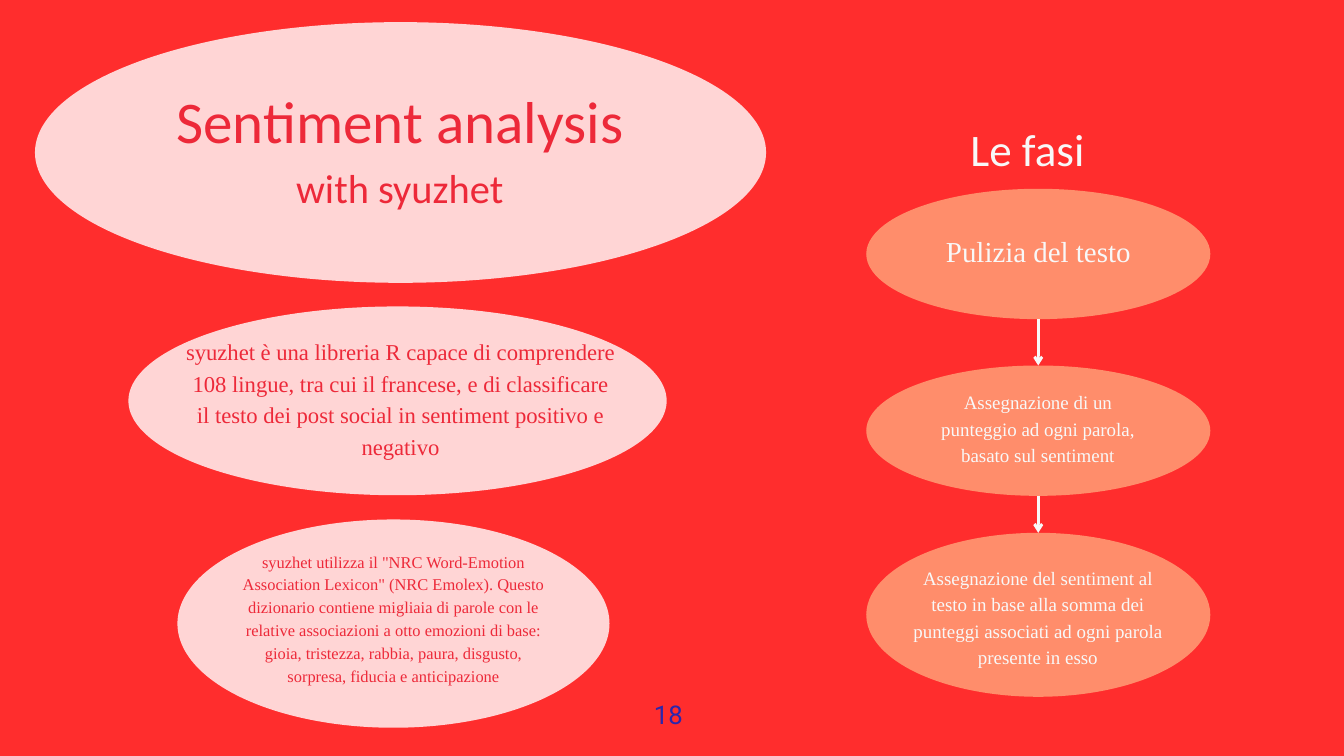
from dataclasses import dataclass

from lxml import etree
from pptx import Presentation
from pptx.dml.color import RGBColor
from pptx.enum.shapes import MSO_CONNECTOR, MSO_SHAPE
from pptx.enum.text import MSO_ANCHOR, MSO_AUTO_SIZE, PP_ALIGN
from pptx.oxml.ns import qn
from pptx.util import Inches, Pt

OVAL = MSO_SHAPE.OVAL
STRAIGHT = MSO_CONNECTOR.STRAIGHT
TOP = MSO_ANCHOR.TOP
CENTER = PP_ALIGN.CENTER
NO_FIT = MSO_AUTO_SIZE.NONE
SERIF = "Times New Roman"
SANS = "Calibri"
COLORS = {
    "background": "FF2D2D",
    "pale": "FFFFFF",
    "step": "FFA57B",
    "red": "ED2939",
    "light": "F8F8F8",
    "number": "2B26AD",
}


@dataclass
class Box:
    left: float
    top: float
    width: float
    height: float

    def share(self, left, top, width, height):
        return Box(
            self.left + self.width * left / 100,
            self.top + self.height * top / 100,
            self.width * width / 100,
            self.height * height / 100,
        )

    def place(self):
        return [Inches(v) for v in (self.left, self.top, self.width, self.height)]


def rgb(name):
    return RGBColor.from_string(COLORS[name])


def write(holder, *lines, font=SERIF, color="light"):
    frame = holder.text_frame
    frame.word_wrap = True
    frame.auto_size = NO_FIT
    frame.vertical_anchor = TOP
    frame.margin_left = frame.margin_right = frame.margin_top = frame.margin_bottom = 0
    for index, (text, size, spacing) in enumerate(lines):
        paragraph = frame.add_paragraph() if index else frame.paragraphs[0]
        paragraph.alignment = CENTER
        paragraph.line_spacing = Pt(spacing)
        run = paragraph.add_run()
        run.text = text
        run.font.size = Pt(size)
        run.font.name = font
        run.font.color.rgb = rgb(color)


def add_text(slide, box, *lines, **style):
    write(slide.shapes.add_textbox(*box.place()), *lines, **style)


def add_oval(slide, box, color):
    oval = slide.shapes.add_shape(OVAL, *box.place())
    oval.shadow.inherit = False
    oval.fill.solid()
    oval.fill.fore_color.rgb = rgb(color)
    oval.line.fill.background()
    tint = oval.fill._xPr.find(qn("a:solidFill"))[0]
    etree.SubElement(tint, qn("a:alpha"), val="80000")


def add_arrow(slide, upper, lower):
    middle = Inches(upper.left + upper.width / 2)
    start, end = Inches(upper.top + upper.height), Inches(lower.top)
    arrow = slide.shapes.add_connector(STRAIGHT, middle, start, middle, end)
    arrow.line.color.rgb = rgb("light")
    arrow.line.width = Pt(3)
    etree.SubElement(arrow.line._get_or_add_ln(), qn("a:tailEnd"), type="arrow")
    etree.SubElement(arrow._element.spPr, qn("a:effectLst"))


def add_title(slide, box):
    add_oval(slide, box, "pale")
    title = slide.shapes.title
    slide.shapes._spTree.append(title._element)
    area = box.share(7.44, 19.33, 84.93, 52.84)
    title.left, title.top, title.width, title.height = area.place()
    write(title, ("Sentiment analysis", 63.3, 88.6), ("with syuzhet", 43.3, 60.6),
          font=SANS, color="red")


def add_introduction(slide, box):
    add_title(slide, box.share(0, 0, 100, 36.95))
    descriptions = [
        ((12.78, 40.29, 73.62, 26.76), (10.36, 14.23, 80.4, 67.97),
         ("syuzhet è una libreria R capace di comprendere 108 lingue, tra cui il "
          "francese, e di classificare il testo dei post social in sentiment "
          "positivo e negativo", 24.3, 34)),
        ((19.49, 70.48, 59.1, 29.52), (15.09, 13.87, 69.83, 77.42),
         ('syuzhet utilizza il "NRC Word-Emotion Association Lexicon" (NRC Emolex). '
          "Questo dizionario contiene migliaia di parole con le relative "
          "associazioni a otto emozioni di base: gioia, tristezza, rabbia, paura, "
          "disgusto, sorpresa, fiducia e anticipazione", 17.6, 24.6)),
    ]
    for oval_share, text_share, line in descriptions:
        oval = box.share(*oval_share)
        add_oval(slide, oval, "pale")
        add_text(slide, oval.share(*text_share), line, color="red")


def add_phases(slide, box):
    add_text(slide, box.share(0, 0, 100, 10.45), ("Le fasi", 48.3, 67.6), font=SANS)
    phases = [
        (13.09, 22.27, (3.13, 29.9, 93.75, 33),
         ("Pulizia del testo", 31, 43.4)),
        (43.28, 22.27, (19.14, 16.49, 61.52, 62.37),
         ("Assegnazione di un punteggio ad ogni parola, basato sul sentiment",
          20.3, 28.5)),
        (71.87, 28.01, (11.91, 18.03, 75.98, 65.57),
         ("Assegnazione del sentiment al testo in base alla somma dei punteggi "
          "associati ad ogni parola presente in esso", 20.3, 28.5)),
    ]
    previous = None
    for top, height, text_share, line in phases:
        oval = box.share(24.03, top, 55.41, height)
        add_oval(slide, oval, "step")
        add_text(slide, oval.share(*text_share), line)
        if previous:
            add_arrow(slide, previous, oval)
        previous = oval


def main():
    page = Box(0, 0, 20, 11.25)
    presentation = Presentation()
    presentation.slide_width = Inches(page.width)
    presentation.slide_height = Inches(page.height)
    slide = presentation.slides.add_slide(presentation.slide_layouts[5])
    slide.background.fill.solid()
    slide.background.fill.fore_color.rgb = rgb("background")
    add_introduction(slide, page.share(2.6, 2.93, 54.4, 93.33))
    add_phases(slide, page.share(53.35, 14.84, 46.2, 77.42))
    add_text(slide, page.share(48.55, 91.73, 2.35, 4.53), ("18", 27.6, 38.7),
             font="Roboto", color="number")
    presentation.save("out.pptx")


if __name__ == "__main__":
    main()
